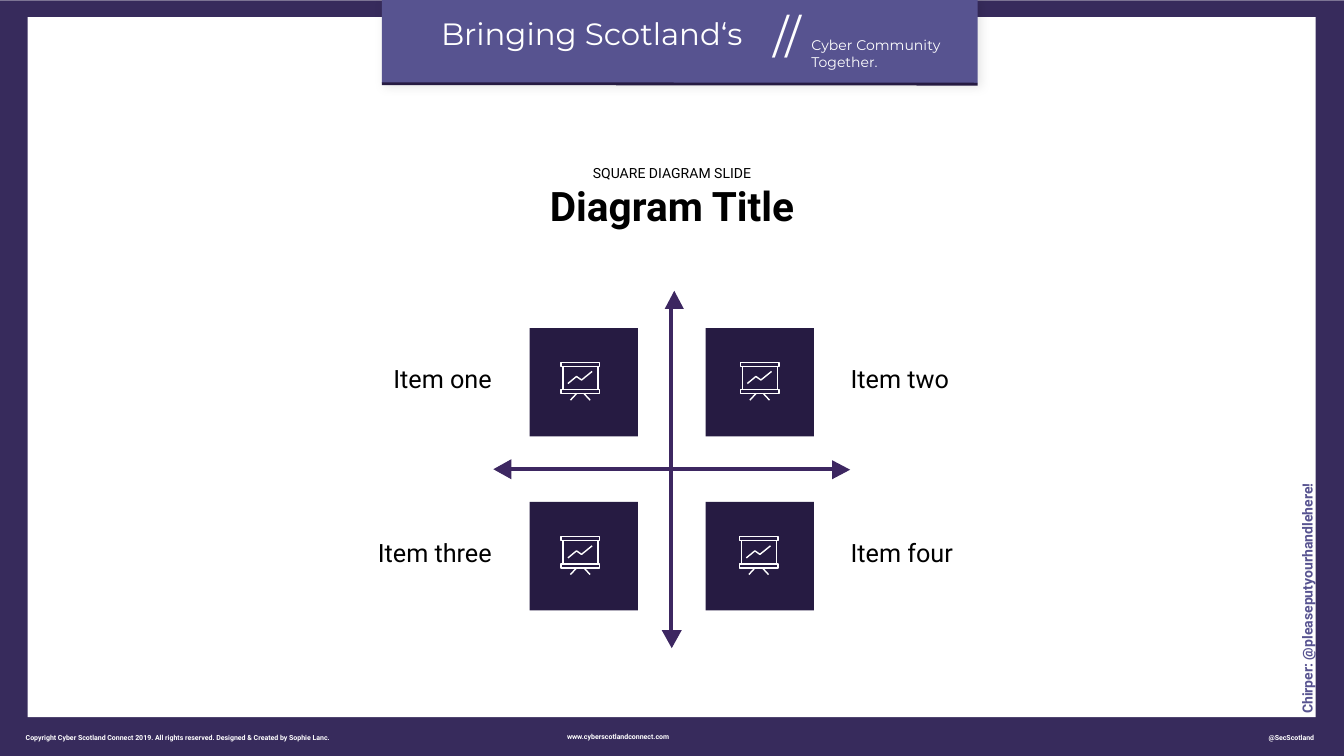
from dataclasses import dataclass

from lxml import etree
from pptx import Presentation
from pptx.dml.color import RGBColor
from pptx.enum.shapes import MSO_CONNECTOR, MSO_SHAPE
from pptx.enum.text import MSO_ANCHOR, MSO_AUTO_SIZE, PP_ALIGN
from pptx.oxml.ns import qn
from pptx.util import Pt

PX = 9144  # EMU per px, 100 px to the inch
SLIDE_W, SLIDE_H = 2667, 1500
TITLE_ONLY = 5
RECT, TRIANGLE = MSO_SHAPE.RECTANGLE, MSO_SHAPE.ISOSCELES_TRIANGLE
STRAIGHT = MSO_CONNECTOR.STRAIGHT
LEFT, CENTER, RIGHT = PP_ALIGN.LEFT, PP_ALIGN.CENTER, PP_ALIGN.RIGHT
TOP, MIDDLE, BOTTOM = MSO_ANCHOR.TOP, MSO_ANCHOR.MIDDLE, MSO_ANCHOR.BOTTOM


@dataclass(frozen=True)
class Theme:
    frame: str = "372B5C"
    banner: str = "575390"
    tile: str = "261B42"
    axis: str = "3D2761"
    white: str = "FFFFFF"
    black: str = "000000"
    brand_font: str = "Montserrat"
    body_font: str = "Roboto"
    footer_size: int = 10
    small_size: int = 20
    label_size: int = 36
    headline_size: int = 44
    title_size: int = 58
    slashes_size: int = 65
    icon_line: int = 2
    rule_line: int = 4
    axis_line: int = 6


THEME = Theme()


def emu(*lengths):
    return [length * PX for length in lengths]


def rgb(color):
    return RGBColor.from_string(color)


def add_box(slide, box, fill=None, kind=RECT, rotation=0):
    shape = slide.shapes.add_shape(kind, *emu(*box))
    shape.shadow.inherit = False
    shape.line.fill.background()
    shape.rotation = rotation
    if fill:
        shape.fill.solid()
        shape.fill.fore_color.rgb = rgb(fill)
    else:
        shape.fill.background()
    return shape


def set_line(shape, color, width):
    shape.line.color.rgb = rgb(color)
    shape.line.width = Pt(width)


def add_line(slide, start, end, color, width):
    line = slide.shapes.add_connector(STRAIGHT, *emu(*start, *end))
    set_line(line, color, width)
    etree.SubElement(line.element.spPr, qn("a:effectLst"))


def add_shadow(shape):
    effects = shape.element.spPr.find(qn("a:effectLst"))
    outer = etree.SubElement(effects, qn("a:outerShdw"), blurRad=str(Pt(15)),
                             dist=str(Pt(5)), dir="2700000", rotWithShape="0")
    color = etree.SubElement(outer, qn("a:srgbClr"), val=THEME.black)
    etree.SubElement(color, qn("a:alpha"), val="10000")


def fill_text(frame, text, size, color, font=THEME.body_font, bold=False,
              align=LEFT, anchor=TOP, inset=0):
    frame.text = text
    frame.word_wrap = True
    frame.auto_size = MSO_AUTO_SIZE.NONE
    frame.vertical_anchor = anchor
    frame.margin_left = frame.margin_right = inset * PX
    frame.margin_top = frame.margin_bottom = inset * PX
    for paragraph in frame.paragraphs:
        paragraph.alignment = align
        for run in paragraph.runs:
            run.font.name = font
            run.font.size = Pt(size)
            run.font.bold = bold
            run.font.color.rgb = rgb(color)


def add_text(slide, box, text, size, color, **style):
    label = slide.shapes.add_textbox(*emu(*box))
    fill_text(label.text_frame, text, size, color, **style)
    return label


def add_frame(slide):
    add_box(slide, (0, 1, SLIDE_W, SLIDE_H), THEME.frame)
    add_box(slide, (55, 34, 2556, 1389), THEME.white)


def add_banner(slide, box):
    x, y, w, h = box
    add_shadow(add_box(slide, box, THEME.banner))
    add_line(slide, (x, y + h + 1), (x + w, y + h + 2), THEME.tile, THEME.rule_line)
    for offset, text, size, align in (
        ((101, 34, 631, 74), "Bringing Scotland‘s", THEME.headline_size, CENTER),
        ((662, 19, 283, 109), "//", THEME.slashes_size, CENTER),
        ((852, 77, 331, 67), "Cyber Community\nTogether.", THEME.small_size, LEFT),
    ):
        dx, dy, text_w, text_h = offset
        add_text(slide, (x + dx, y + dy, text_w, text_h), text, size,
                 THEME.white, font=THEME.brand_font, align=align)


def add_footer(slide, box):
    x, y, w, h = box
    for dx, dy, text_w, text in (
        (2, 2, 701, "Copyright Cyber Scotland Connect 2019. All rights reserved. "
                    "Designed & Created by Sophie Lanc."),
        (1105, 0, 243, "www.cyberscotlandconnect.com"),
        (2507, 2, 111, "@SecScotland"),
    ):
        add_text(slide, (x + dx, y + dy, text_w, h), text, THEME.footer_size,
                 THEME.white, bold=True, align=CENTER, anchor=MIDDLE)


def add_title(slide, box):
    title = slide.shapes.title
    title.left, title.top, title.width, title.height = emu(*box)
    fill_text(title.text_frame, "SQUARE DIAGRAM SLIDE\nDiagram Title",
              THEME.small_size, THEME.black, align=CENTER)
    heading = title.text_frame.paragraphs[1].runs[0]
    heading.font.size = Pt(THEME.title_size)
    heading.font.bold = True
    # Bring the title in front of the frame
    title.element.getparent().append(title.element)


def add_axes(slide, box):
    x, y, w, h = box
    center_x, center_y = x + 354, y + 354
    add_line(slide, (x + 38, center_y), (x + 674, center_y), THEME.axis, THEME.axis_line)
    add_line(slide, (center_x, y + 36), (center_x, y + 673), THEME.axis, THEME.axis_line)
    # Arrowheads: right, left, top, bottom
    for dx, dy, head_w, rotation in ((673, 337, 38, 90), (0, 336, 40, 270),
                                     (342, 0, 38, 0), (336, 673, 40, 180)):
        add_box(slide, (x + dx, y + dy, head_w, 36), THEME.axis, TRIANGLE, rotation)


def add_board_icon(slide, x, y):
    # Top rail, bottom rail, board
    for dx, dy, w, h in ((0, 0, 77, 8), (0, 54, 77, 8), (4, 8, 70, 46)):
        set_line(add_box(slide, (x + dx, y + dy, w, h)), THEME.white, THEME.icon_line)
    # Legs
    for top_x, foot_x in ((46, 58), (31, 19)):
        add_line(slide, (x + foot_x, y + 75), (x + top_x, y + 62),
                 THEME.white, THEME.icon_line)
    # Trend on the board
    builder = slide.shapes.build_freeform(14, 42, scale=PX)
    builder.add_line_segments([(31, 28), (41, 35), (62, 18)], close=False)
    trend = builder.convert_to_shape(*emu(x, y))
    trend.shadow.inherit = False
    trend.fill.background()
    set_line(trend, THEME.white, THEME.icon_line)


def add_quadrants(slide, box):
    x, y, w, h = box
    tile, label_w, label_h = 215, 710, 176
    tile_xs, tile_ys = (x + 780, x + 1129), (y, y + h - tile)
    label_xs, aligns = (x, x + w - label_w), (RIGHT, LEFT)
    # Item, column, row, icon offset in its tile
    for item, col, row, icon_x, icon_y in (
        ("Item one", 0, 0, 62, 68),
        ("Item two", 1, 0, 69, 68),
        ("Item three", 0, 1, 62, 69),
        ("Item four", 1, 1, 67, 69),
    ):
        tile_x, tile_y = tile_xs[col], tile_ys[row]
        add_box(slide, (tile_x, tile_y, tile, tile), THEME.tile)
        add_board_icon(slide, tile_x + icon_x, tile_y + icon_y)
        add_text(slide, (label_xs[col], tile_y + 12, label_w, label_h), item,
                 THEME.label_size, THEME.black, align=aligns[col],
                 anchor=MIDDLE, inset=5)


def add_handle(slide, box):
    handle = add_text(slide, box, "Chirper: @pleaseputyourhandlehere!",
                      THEME.small_size, THEME.banner, bold=True, anchor=BOTTOM)
    handle.rotation = 270


def main():
    deck = Presentation()
    deck.slide_width, deck.slide_height = emu(SLIDE_W, SLIDE_H)
    slide = deck.slides.add_slide(deck.slide_layouts[TITLE_ONLY])
    add_frame(slide)
    add_banner(slide, (758, -4, 1182, 169))
    add_footer(slide, (0, 1454, SLIDE_W, 17))
    add_title(slide, (692, 326, 1283, 131))
    add_axes(slide, (977, 577, 711, 709))
    add_quadrants(slide, (271, 651, 2122, 560))
    add_handle(slide, (2353, 1159, 482, 33))
    deck.save("out.pptx")


if __name__ == "__main__":
    main()
